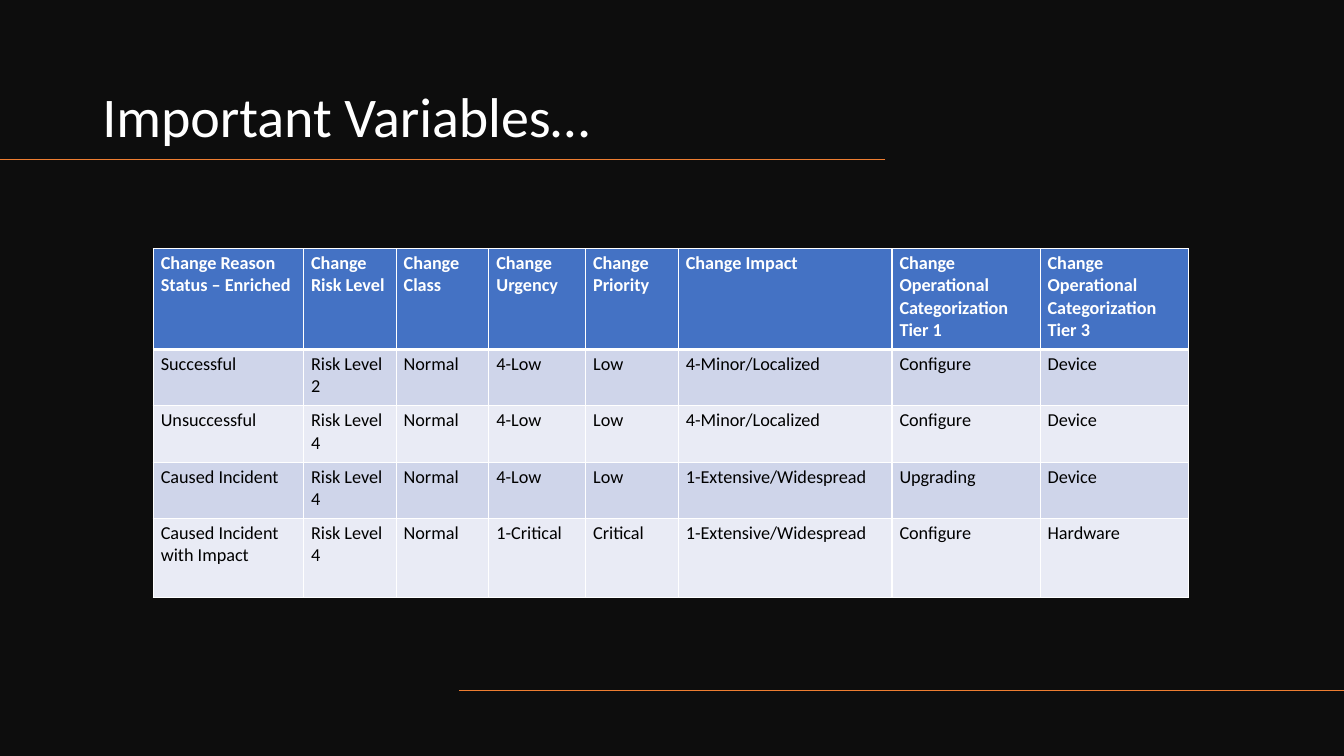
"""Build the slide of important change variables."""
from dataclasses import dataclass

from lxml import etree
from pptx import Presentation
from pptx.dml.color import RGBColor
from pptx.enum.shapes import MSO_CONNECTOR, MSO_SHAPE
from pptx.enum.text import MSO_ANCHOR
from pptx.oxml.ns import qn
from pptx.util import Inches, Pt

RECT = MSO_SHAPE.RECTANGLE
STRAIGHT = MSO_CONNECTOR.STRAIGHT
BOTTOM = MSO_ANCHOR.BOTTOM

COLS, ROWS = 160, 90
UNIT = Inches(7.5) / ROWS
FONT = "Calibri"
WHITE, BLACK, NIGHT, ORANGE = "FFFFFF", "000000", "0D0D0D", "ED7D31"
BLUE, BANDS = "4472C4", ("CFD5EA", "E9EBF5")

WIDTHS = (17.88, 11.04, 11.04, 11.52, 11.04, 25.44, 17.64, 17.64)
HEIGHTS = (12, 6.72, 6.72, 6.72, 9.36)
CELLS = (
    ("Change Reason Status – Enriched", "Change Risk Level", "Change Class",
     "Change Urgency", "Change Priority", "Change Impact",
     "Change Operational Categorization Tier 1",
     "Change Operational Categorization Tier 3"),
    ("Successful", "Risk Level 2", "Normal", "4-Low", "Low",
     "4-Minor/Localized", "Configure", "Device"),
    ("Unsuccessful", "Risk Level 4", "Normal", "4-Low", "Low",
     "4-Minor/Localized", "Configure", "Device"),
    ("Caused Incident", "Risk Level 4", "Normal", "4-Low", "Low",
     "1-Extensive/Widespread", "Upgrading", "Device"),
    ("Caused Incident with Impact", "Risk Level 4", "Normal", "1-Critical",
     "Critical", "1-Extensive/Widespread", "Configure", "Hardware"),
)


@dataclass(frozen=True)
class Rule:
    start: float
    end: float
    row: float


RULES = (Rule(105.4, 0, 19), Rule(COLS, 54.6, 82.2))


def span(units: float) -> int:
    return round(units * UNIT)


def paint(target, color: str) -> None:
    target.solid()
    target.fore_color.rgb = RGBColor.from_string(color)


def style(para, size: float, color: str, bold: bool = False) -> None:
    for run in para.runs:
        run.font.name = FONT
        run.font.size = Pt(size)
        run.font.bold = bold
        paint(run.font.fill, color)


def draw_back(shapes) -> None:
    back = shapes.add_shape(RECT, 0, 0, span(COLS), span(ROWS))
    back.shadow.inherit = False
    paint(back.fill, NIGHT)
    back.line.fill.background()


def draw_title(shapes, text: str) -> None:
    box = shapes.add_textbox(span(11), span(5), span(94.3), span(13.4))
    frame = box.text_frame
    frame.word_wrap = True
    frame.vertical_anchor = BOTTOM
    frame.text = text
    para = frame.paragraphs[0]
    para.line_spacing = 0.9
    style(para, 40, WHITE)


def draw_rule(shapes, rule: Rule) -> None:
    line = shapes.add_connector(STRAIGHT, span(rule.start), span(rule.row),
                                span(rule.end), span(rule.row))
    line.line.width = Pt(1)
    paint(line.line.fill, ORANGE)
    etree.SubElement(line._element.spPr, qn("a:effectLst"))


def edge(cell, side: str, width: float) -> None:
    props = cell._tc.get_or_add_tcPr()
    line = etree.SubElement(props, qn(f"a:ln{side}"), w=str(Pt(width)))
    fill = etree.SubElement(line, qn("a:solidFill"))
    etree.SubElement(fill, qn("a:srgbClr"), val=WHITE)


def draw_cell(cell, text: str, row: int) -> None:
    head = row == 0
    cell.margin_left = cell.margin_right = span(0.9)
    cell.margin_top = cell.margin_bottom = span(0.45)
    widths = {"L": 1, "R": 1, "T": 3 if row == 1 else 1, "B": 3 if head else 1}
    for side, width in widths.items():
        edge(cell, side, width)
    paint(cell.fill, BLUE if head else BANDS[(row - 1) % 2])
    cell.text_frame.text = text
    style(cell.text_frame.paragraphs[0], 13, WHITE if head else BLACK, head)


def draw_table(shapes) -> None:
    frame = shapes.add_table(len(HEIGHTS), len(WIDTHS), span(18.25), span(29.6),
                             span(sum(WIDTHS)), span(sum(HEIGHTS)))
    table = frame.table
    for col, width in zip(table.columns, WIDTHS):
        col.width = span(width)
    for row, height in zip(table.rows, HEIGHTS):
        row.height = span(height)
    for row, texts in enumerate(CELLS):
        for col, text in enumerate(texts):
            draw_cell(table.cell(row, col), text, row)


def main() -> None:
    deck = Presentation()
    deck.slide_width, deck.slide_height = span(COLS), span(ROWS)
    shapes = deck.slides.add_slide(deck.slide_layouts[6]).shapes
    draw_back(shapes)
    draw_title(shapes, "Important Variables…")
    for rule in RULES:
        draw_rule(shapes, rule)
    draw_table(shapes)
    deck.save("out.pptx")


if __name__ == "__main__":
    main()
